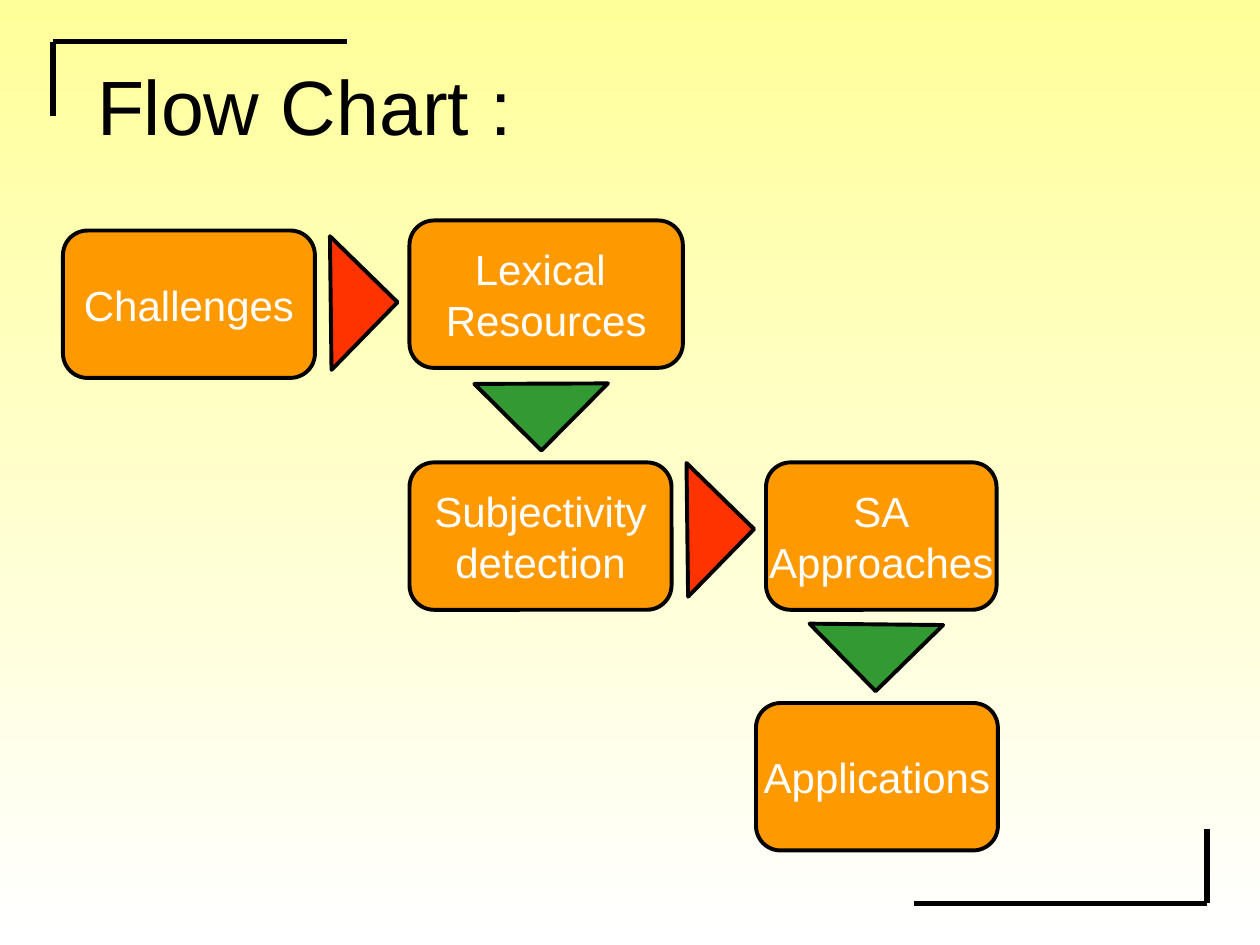
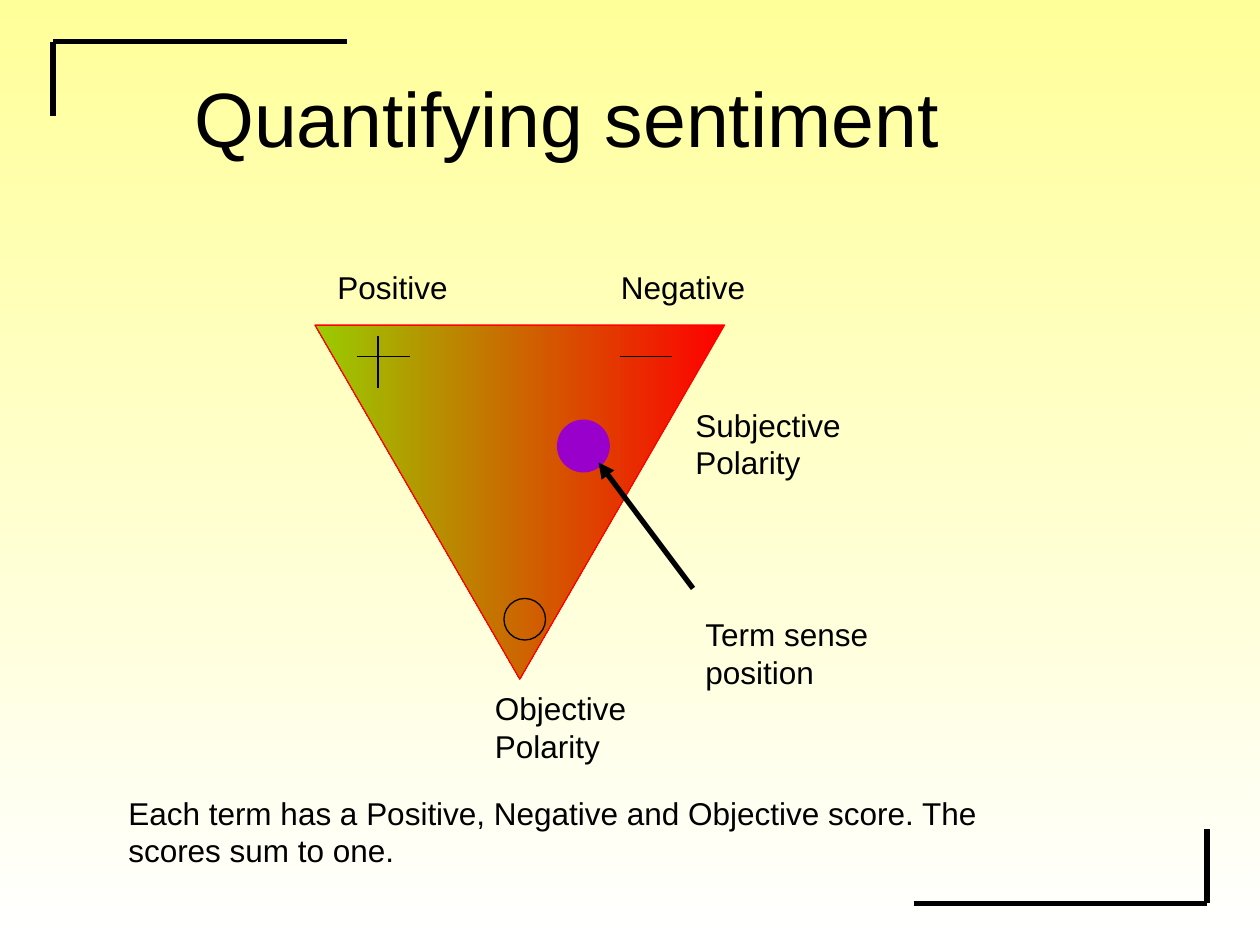
from lxml import etree
from pptx import Presentation
from pptx.dml.color import RGBColor
from pptx.enum import shapes, text
from pptx.oxml import ns
from pptx.util import Inches, Pt

BLACK = RGBColor(0x00, 0x00, 0x00)
WHITE = RGBColor(0xFF, 0xFF, 0xFF)
YELLOW = RGBColor(0xFF, 0xFF, 0x99)
ORANGE = RGBColor(0xFF, 0x99, 0x00)
SCARLET = RGBColor(0xFF, 0x33, 0x00)
GREEN = RGBColor(0x33, 0x99, 0x33)
RED = RGBColor(0xFF, 0x00, 0x00)
LIME = RGBColor(0x99, 0xCC, 0x00)
PURPLE = RGBColor(0x99, 0x00, 0xCC)

KIND = shapes.MSO_SHAPE
ALIGN = text.PP_ALIGN
ANCHOR = text.MSO_ANCHOR


class Deck:
    font = "Arial"

    def __init__(self):
        self.prs = Presentation()
        self.prs.slide_width, self.prs.slide_height = Inches(10), Inches(7.5)
        self.gradient(self.prs.slide_master.background.fill, YELLOW, WHITE, 270)

    def gradient(self, fill, start, end, angle):
        fill.gradient()
        fill.gradient_angle = angle
        for stop, color in zip(fill.gradient_stops, (start, end)):
            stop.color.rgb = color

    def set_text(self, tf, lines, size, color, align, before=0):
        tf.text = "\n".join(lines)
        for p in tf.paragraphs:
            p.alignment = align
            p.space_before = Pt(before)
            p.font.name, p.font.size = self.font, Pt(size)
            p.font.color.rgb = color

    def slide(self, title, box, align):
        self.s = self.prs.slides.add_slide(self.prs.slide_layouts[5])
        sp = self.s.shapes.title
        sp.left, sp.top, sp.width, sp.height = map(Inches, box)
        sp.text_frame.vertical_anchor = ANCHOR.MIDDLE
        self.set_text(sp.text_frame, [title], 44, BLACK, align)
        self.corner(0.42, 0.33, 1)
        self.corner(9.58, 7.17, -1)

    def corner(self, x, y, way):
        self.line(x, y + way * 0.59, x, y, 3)
        self.line(x + way * 2.33, y, x, y, 3)

    def line(self, x1, y1, x2, y2, width=0.75, arrow=False):
        cx = self.s.shapes.add_connector(
            shapes.MSO_CONNECTOR.STRAIGHT, *map(Inches, (x1, y1, x2, y2)))
        cx.line.color.rgb = BLACK
        cx.line.width = Pt(width)
        spPr = cx._element.spPr
        if arrow:
            etree.SubElement(spPr.find(ns.qn("a:ln")), ns.qn("a:tailEnd"), type="triangle")
        etree.SubElement(spPr, ns.qn("a:effectLst"))

    def shape(self, kind, box, fill=None, line=BLACK, width=0.75, turn=0):
        sp = self.s.shapes.add_shape(kind, *map(Inches, box))
        sp.shadow.inherit = False
        sp.rotation = turn
        if fill is None:
            sp.fill.background()
        else:
            sp.fill.solid()
            sp.fill.fore_color.rgb = fill
        if line is None:
            sp.line.fill.background()
        else:
            sp.line.color.rgb = line
            sp.line.width = Pt(width)
        return sp

    def step(self, x, y, width, *lines):
        sp = self.shape(KIND.ROUNDED_RECTANGLE, (x, y, width, 1.17), ORANGE, width=2.25)
        tf = sp.text_frame
        tf.word_wrap = False
        tf.vertical_anchor = ANCHOR.MIDDLE
        self.set_text(tf, lines, 24, WHITE, ALIGN.CENTER)

    def pointer(self, x, y, color, turn):
        self.shape(KIND.RIGHT_TRIANGLE, (x, y, 0.75, 0.75), color, width=2.25, turn=turn)

    def label(self, words, x, y, width, height=0.7):
        tf = self.s.shapes.add_textbox(*map(Inches, (x, y, width, height))).text_frame
        tf.word_wrap = True
        tf.auto_size = text.MSO_AUTO_SIZE.SHAPE_TO_FIT_TEXT
        self.set_text(tf, [words], 18, BLACK, ALIGN.LEFT, 11.2)

    def polarity_triangle(self, box):
        sp = self.shape(KIND.ISOSCELES_TRIANGLE, box, RED, RED, turn=180)
        self.gradient(sp.fill, RED, LIME, 180)
        sp._element.spPr.find(ns.qn("a:gradFill")).set("rotWithShape", "0")


def flow_chart(deck):
    deck.slide("Flow Chart :", (0.67, 0.33, 5.08, 1), ALIGN.LEFT)
    deck.step(0.5, 1.83, 2, "Challenges")
    deck.step(3.25, 3.67, 2.08, "Subjectivity", "detection")
    deck.step(6.08, 3.67, 1.83, "SA", "Approaches")
    deck.step(6, 5.58, 1.92, "Applications")
    deck.step(3.25, 1.75, 2.17, "Lexical ", "Resources")
    deck.pointer(2.25, 2.03, SCARLET, 224.3)
    deck.pointer(5.08, 3.83, SCARLET, 224.3)
    deck.pointer(3.92, 2.67, GREEN, 314.8)
    deck.pointer(6.58, 4.58, GREEN, 315.6)


def quantifying_sentiment(deck):
    deck.slide("Quantifying sentiment", (0, 0.3, 9, 1.25), ALIGN.CENTER)
    deck.polarity_triangle((2.5, 2.58, 3.25, 2.81))
    deck.line(4.92, 2.83, 5.33, 2.83)
    deck.line(2.83, 2.83, 3.25, 2.83)
    deck.line(3, 2.67, 3, 3.08)
    deck.shape(KIND.OVAL, (4, 4.75, 0.33, 0.33))
    deck.label("Objective Polarity", 3.83, 5.42, 1.75)
    deck.label("Subjective Polarity", 5.42, 3.17, 1.75)
    deck.label("Positive", 2.58, 2.08, 1.08, 0.4)
    deck.label("Negative", 4.83, 2.08, 1.42, 0.4)
    deck.shape(KIND.OVAL, (4.42, 3.33, 0.42, 0.42), PURPLE, None)
    deck.line(5.5, 4.67, 4.75, 3.67, 3, arrow=True)
    deck.label("Term sense position", 5.5, 4.83, 1.75)
    deck.label("Each term has a Positive, Negative and Objective score. "
               "The scores sum to one.", 0.92, 6.25, 7.67)


def main():
    deck = Deck()
    flow_chart(deck)
    quantifying_sentiment(deck)
    deck.prs.save("out.pptx")


if __name__ == "__main__":
    main()
